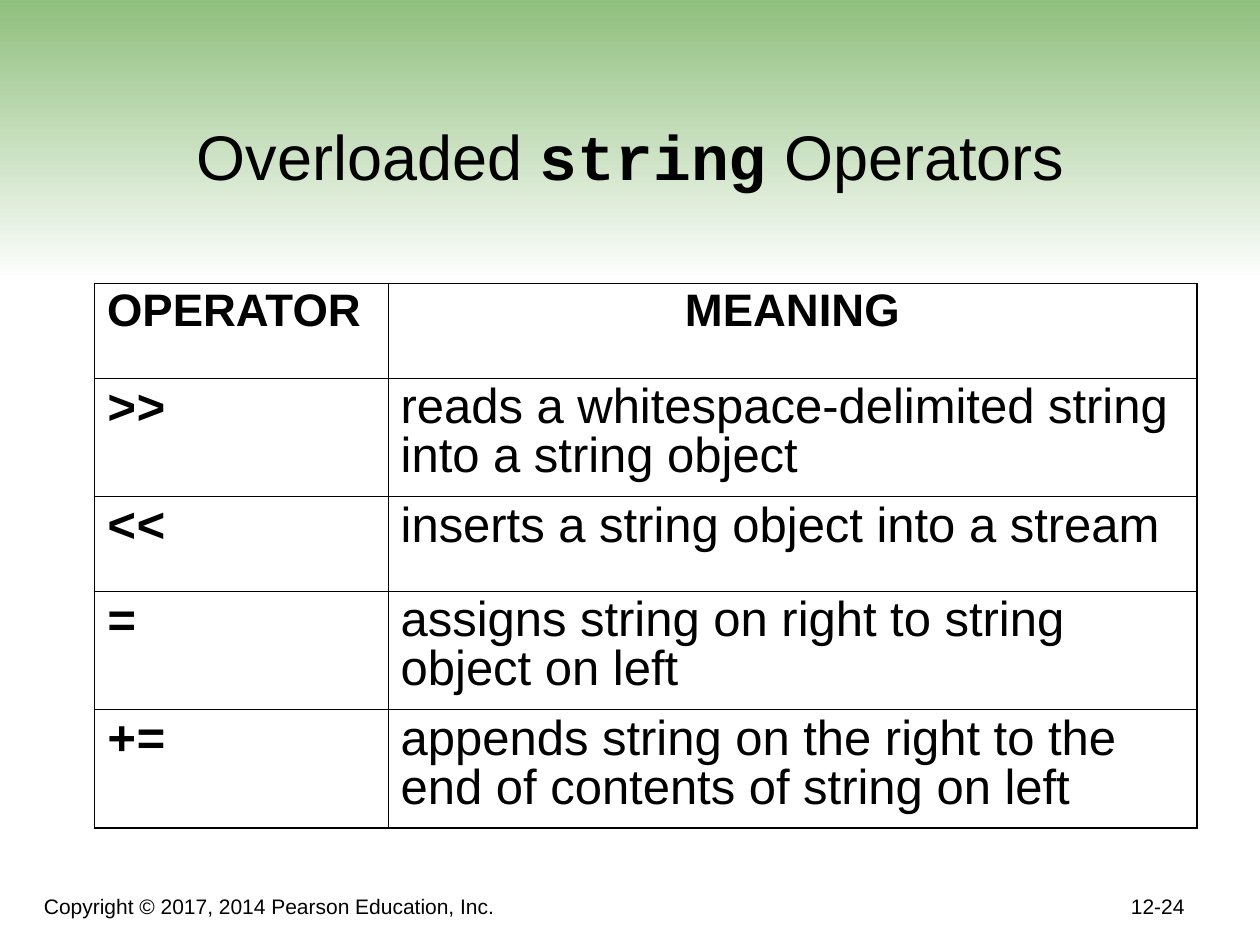
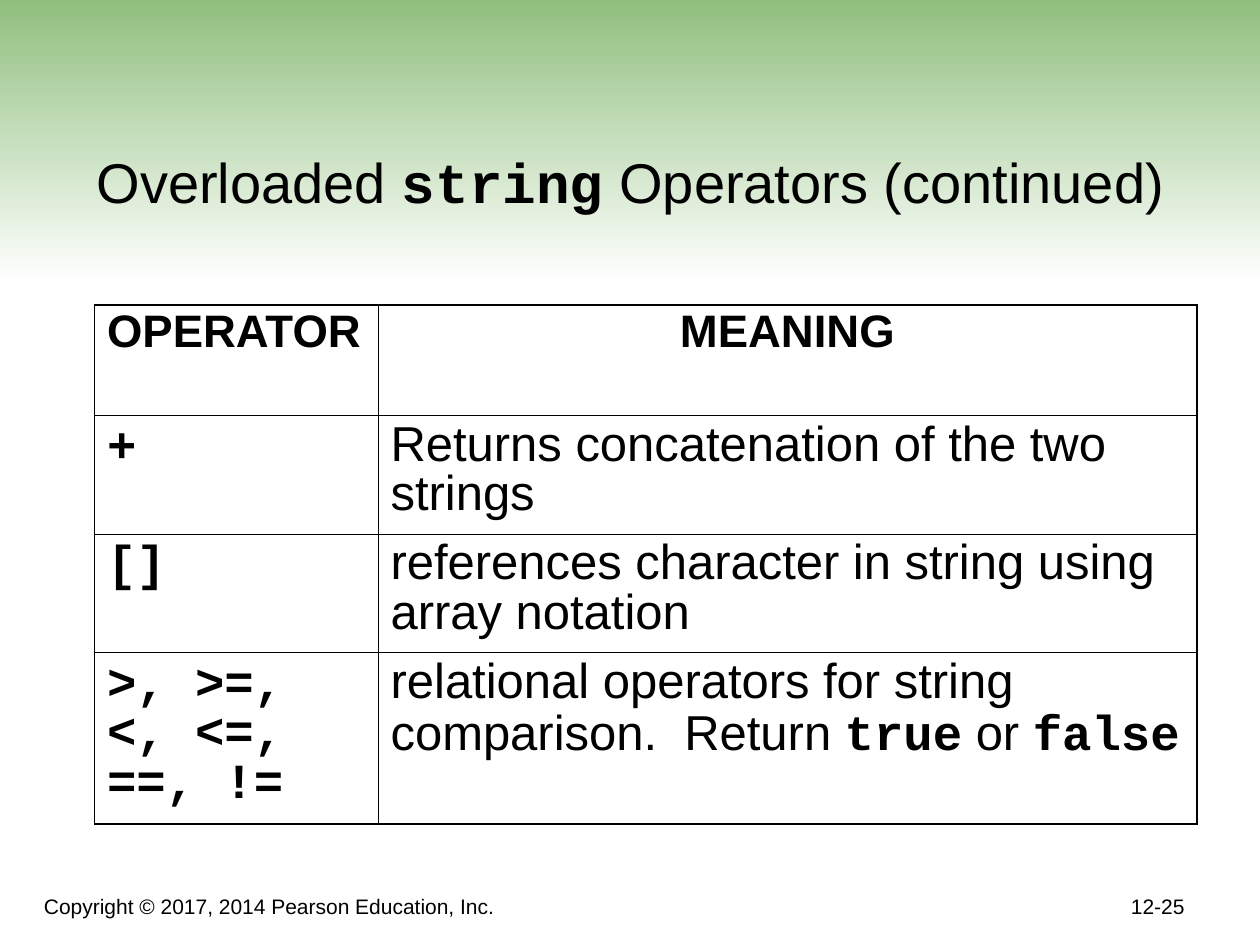
import pptx
import pptx.dml.color
import pptx.enum.shapes
import pptx.enum.text
import pptx.oxml
import pptx.oxml.ns
import pptx.util

Inches = pptx.util.Inches
Pt = pptx.util.Pt
RGBColor = pptx.dml.color.RGBColor
ALIGN = pptx.enum.text.PP_ALIGN

BLACK = RGBColor(0x00, 0x00, 0x00)
WHITE = RGBColor(0xFF, 0xFF, 0xFF)
GREEN = RGBColor(0x8C, 0xBD, 0x79)
BODY_FONT = "Arial"
CODE_FONT = "Courier New"
OUTER_LINE = Pt(1.08)
INNER_LINE = Pt(0.45)
COPYRIGHT = "Copyright © 2017, 2014 Pearson Education, Inc."
HEADINGS = ("OPERATOR", "MEANING")

SLIDES = [
    {
        "title": "Overloaded `string` Operators",
        "title_top": 0.33,
        "title_size": 36,
        "number": "12-24",
        "table_top": 2.25,
        "columns": (2.33, 6.42),
        "heights": (0.75, 0.94, 0.75, 0.94, 0.94),
        "operators": [
            ("`>>`", "reads a whitespace-delimited string into a string object"),
            ("`<<`", "inserts a string object into a stream"),
            ("`=`", "assigns string on right to string object on left"),
            ("`+=`", "appends string on the right to the end of contents of string on left"),
        ],
    },
    {
        "title": "Overloaded `string` Operators (continued)",
        "title_top": 0.5,
        "title_size": 32,
        "number": "12-25",
        "table_top": 2.42,
        "columns": (2.25, 6.5),
        "heights": (0.88, 0.94, 0.94, 1.36),
        "operators": [
            ("`+`", "Returns concatenation of the two strings"),
            ("`[]`", "references character in string using array notation"),
            ("`>, >=, <, <=, ==, !=`",
             "relational operators for string comparison.  Return `true` or `false`"),
        ],
    },
]


def write(frame, text, size, align=ALIGN.LEFT, bold=False):
    """Fill the first paragraph; parts between backticks become bold code."""
    frame.word_wrap = True
    para = frame.paragraphs[0]
    para.alignment = align
    for index, part in enumerate(text.split("`")):
        if not part:
            continue
        is_code = index % 2 == 1
        span = para.add_run()
        span.text = part
        span.font.name = CODE_FONT if is_code else BODY_FONT
        span.font.size = Pt(size)
        span.font.bold = bold or is_code
        span.font.color.rgb = BLACK
    return para


def add_border(cell, side, width):
    line = pptx.oxml.parse_xml(
        f'<a:ln{side} {pptx.oxml.ns.nsdecls("a")} w="{width}">'
        f'<a:solidFill><a:srgbClr val="{BLACK}"/></a:solidFill></a:ln{side}>')
    cell._tc.get_or_add_tcPr().append(line)


deck = pptx.Presentation()
deck.slide_width = Inches(10)
deck.slide_height = Inches(7.5)

for content in SLIDES:
    page = deck.slides.add_slide(deck.slide_layouts[6])
    page.background.fill.solid()
    page.background.fill.fore_color.rgb = WHITE

    band = page.shapes.add_shape(pptx.enum.shapes.MSO_SHAPE.RECTANGLE,
                                 Inches(0), Inches(-0.08), Inches(10), Inches(2.33))
    band.shadow.inherit = False
    band.line.fill.background()
    band.fill.gradient()
    band.fill.gradient_angle = 270
    for stop, color, position in zip(band.fill.gradient_stops, (GREEN, WHITE), (0, 1)):
        stop.color.rgb = color
        stop.position = position

    # Title, copyright line and page number
    for left, top, width, height, text, size, align in (
        (0.42, content["title_top"], 9.17, 1.25,
         content["title"], content["title_size"], ALIGN.CENTER),
        (0.25, 6.92, 6.75, 0.42, COPYRIGHT, 12, ALIGN.LEFT),
        (7.42, 6.84, 2.08, 0.5, content["number"], 12, ALIGN.RIGHT),
    ):
        box = page.shapes.add_textbox(Inches(left), Inches(top), Inches(width), Inches(height))
        box.text_frame.vertical_anchor = pptx.enum.text.MSO_ANCHOR.BOTTOM
        write(box.text_frame, text, size, align)

    rows = [HEADINGS] + content["operators"]
    heights = content["heights"]
    table = page.shapes.add_table(
        len(rows), len(HEADINGS), Inches(0.75), Inches(content["table_top"]),
        Inches(sum(content["columns"])), Inches(sum(heights))).table
    table.first_row = False
    table.horz_banding = False
    for column, width in zip(table.columns, content["columns"]):
        column.width = Inches(width)

    for row_index, (texts, height) in enumerate(zip(rows, heights)):
        table.rows[row_index].height = Inches(height)
        is_heading = row_index == 0
        for column_index, text in enumerate(texts):
            cell = table.cell(row_index, column_index)
            centred = is_heading and column_index == 1
            para = write(cell.text_frame, text, 26 if is_heading else 28,
                         ALIGN.CENTER if centred else ALIGN.LEFT, bold=is_heading)
            para.line_spacing = 0.9
            for side, is_outer in (("L", column_index == 0),
                                   ("R", column_index == len(texts) - 1),
                                   ("T", is_heading),
                                   ("B", row_index == len(rows) - 1)):
                add_border(cell, side, OUTER_LINE if is_outer else INNER_LINE)
            cell.fill.background()

deck.save("out.pptx")
